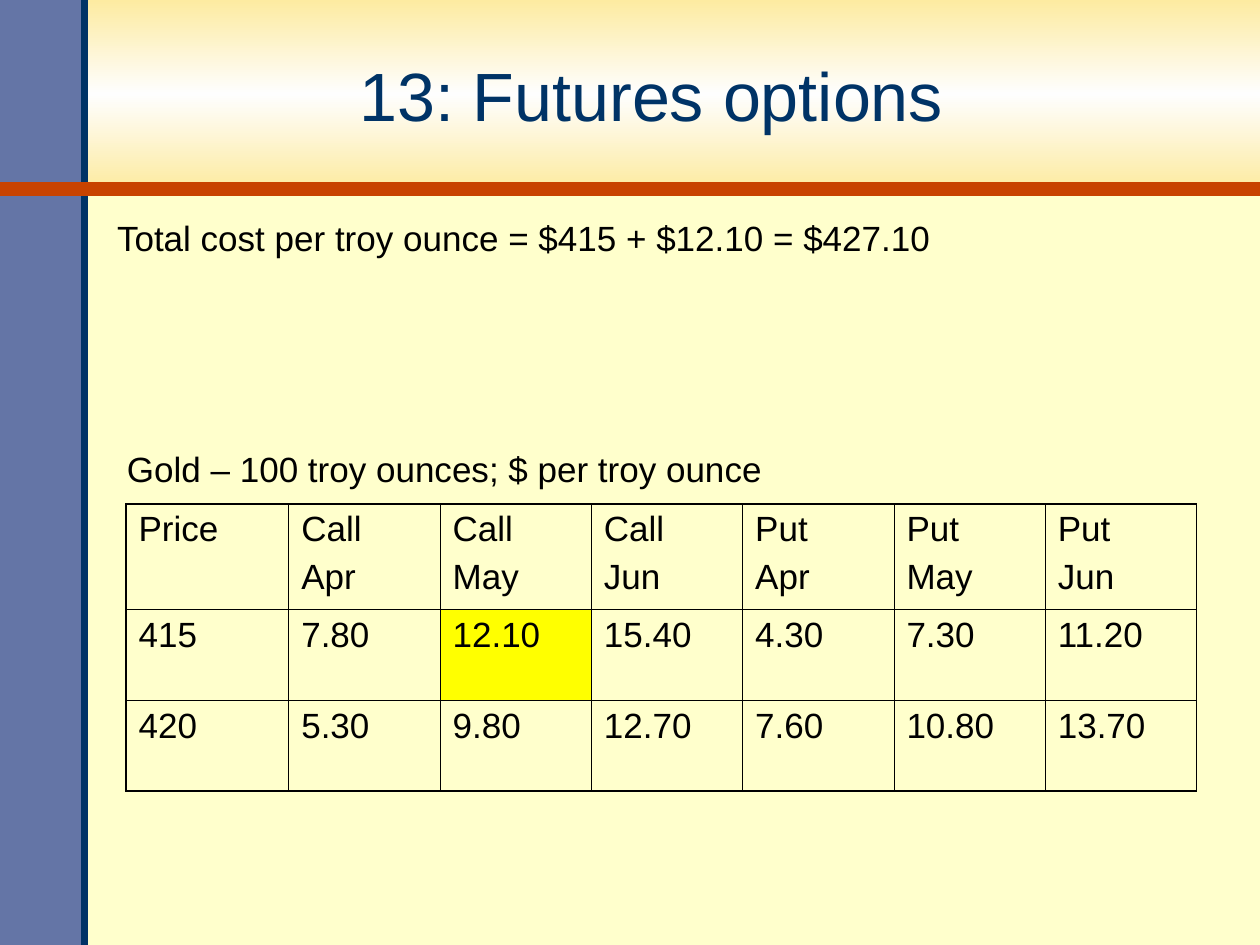
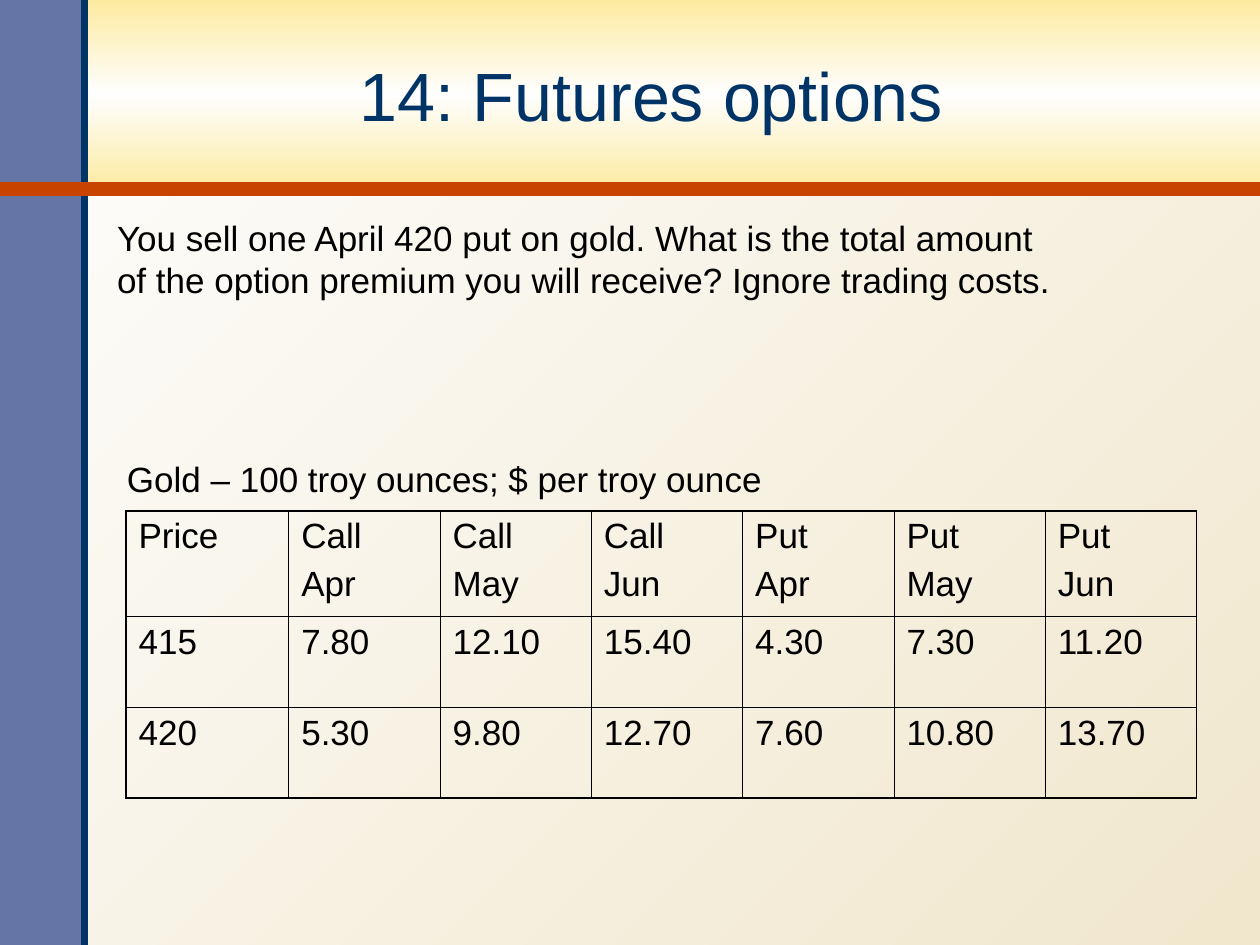
"""Build two slides on gold futures options, each with a price table."""
from dataclasses import dataclass

import pptx
import pptx.dml.color
import pptx.enum.shapes
import pptx.enum.text
import pptx.oxml.ns
import pptx.util
from lxml import etree

Cm, Pt = pptx.util.Cm, pptx.util.Pt
RGB = pptx.dml.color.RGBColor.from_string
qn = pptx.oxml.ns.qn
PP_ALIGN = pptx.enum.text.PP_ALIGN
MSO_ANCHOR = pptx.enum.text.MSO_ANCHOR


@dataclass(frozen=True)
class Theme:
    font: str = "Arial"
    title_size: float = 39
    body_size: float = 20
    ink: str = "000000"
    navy: str = "003366"
    slate: str = "6475A6"
    rust: str = "C84300"
    cream: str = "FFFFCC"
    sand: str = "F1E7CD"
    gold: str = "FDEBA1"
    white: str = "FEFEFE"
    mark: str = "FFFF00"
    thin: float = 0.45
    thick: float = 1.08


def write(tf, text, *, font, size, color, align=PP_ALIGN.LEFT, gap=0):
    for i, line in enumerate(text.split("\n")):
        p = tf.paragraphs[0] if i == 0 else tf.add_paragraph()
        p.alignment = align
        if i and gap:
            p.space_before = Pt(gap)
        r = p.add_run()
        r.text = line
        r.font.name = font
        r.font.size = Pt(size)
        r.font.color.rgb = RGB(color)


def fill_gradient(fill, root, colors, angle):
    fill.gradient()
    fill.gradient_angle = angle
    stops = root.find(".//" + qn("a:gsLst"))
    for stop in list(stops):
        stops.remove(stop)
    for i, color in enumerate(colors):
        stop = etree.SubElement(stops, qn("a:gs"), pos=str(100000 * i // (len(colors) - 1)))
        etree.SubElement(stop, qn("a:srgbClr"), val=color)


class Deck:
    """Hold the theme and the current slide, and draw each kind of element."""

    def __init__(self, theme):
        self.theme = theme
        self.prs = pptx.Presentation()
        self.prs.slide_width, self.prs.slide_height = Cm(25.4), Cm(19.05)
        self.s = None

    def slide(self, title, background):
        t = self.theme
        self.s = self.prs.slides.add_slide(self.prs.slide_layouts[6])
        fill = self.s.background.fill
        if len(background) == 1:
            fill.solid()
            fill.fore_color.rgb = RGB(background[0])
        else:
            fill_gradient(fill, self.s.element, background, 135)
        self.band(25.4, 3.81, [t.gold, t.white, t.gold])
        self.band(1.7, 19.05, [t.slate])
        self.line((1.7, 19.05), (1.7, 0), t.navy, 4)
        self.line((0, 3.81), (25.4, 3.81), t.rust, 8)
        self.text(title, 1.65, 0.38, 22.96, 3.05, size=t.title_size, color=t.navy,
                  align=PP_ALIGN.CENTER, anchor=MSO_ANCHOR.MIDDLE)

    def band(self, width, height, colors):
        sp = self.s.shapes.add_shape(pptx.enum.shapes.MSO_SHAPE.RECTANGLE,
                                     0, 0, Cm(width), Cm(height))
        sp.shadow.inherit = False
        sp.line.fill.background()
        if len(colors) == 1:
            sp.fill.solid()
            sp.fill.fore_color.rgb = RGB(colors[0])
        else:
            fill_gradient(sp.fill, sp.element, colors, 270)

    def line(self, start, end, color, width):
        sp = self.s.shapes.add_connector(pptx.enum.shapes.MSO_CONNECTOR.STRAIGHT,
                                         *map(Cm, start + end))
        sp.line.color.rgb = RGB(color)
        sp.line.width = Pt(width)
        etree.SubElement(sp.element.spPr, qn("a:effectLst"))

    def text(self, text, left, top, width, height, *, size=None, color=None,
             align=PP_ALIGN.LEFT, anchor=MSO_ANCHOR.TOP):
        t = self.theme
        tf = self.s.shapes.add_textbox(*map(Cm, (left, top, width, height))).text_frame
        tf.word_wrap = True
        tf.vertical_anchor = anchor
        write(tf, text, font=t.font, size=size or t.body_size, color=color or t.ink, align=align)

    def table(self, rows, left, top, widths, heights, marked=None):
        t = self.theme
        last_row, last_col = len(heights) - 1, len(widths) - 1
        table = self.s.shapes.add_table(len(heights), len(widths), Cm(left), Cm(top),
                                        Cm(sum(widths)), Cm(sum(heights))).table
        table.first_row = table.horz_banding = False
        for column, width in zip(table.columns, widths):
            column.width = Cm(width)
        for row, height in zip(table.rows, heights):
            row.height = Cm(height)
        for i, row in enumerate(rows):
            for j, text in enumerate(row):
                cell = table.cell(i, j)
                write(cell.text_frame, text, font=t.font, size=t.body_size,
                      color=t.ink, gap=5)
                if (i, j) == marked:
                    cell.fill.solid()
                    cell.fill.fore_color.rgb = RGB(t.mark)
                else:
                    cell.fill.background()
                self.borders(cell, L=j == 0, R=j == last_col, T=i == 0, B=i == last_row)

    def borders(self, cell, **outer):
        props = cell._tc.get_or_add_tcPr()
        for k, (side, is_outer) in enumerate(outer.items()):
            width = self.theme.thick if is_outer else self.theme.thin
            ln = etree.Element(qn("a:ln" + side), w=str(Pt(width)))
            fill = etree.SubElement(ln, qn("a:solidFill"))
            etree.SubElement(fill, qn("a:srgbClr"), val=self.theme.ink)
            props.insert(k, ln)


PRICES = [
    ["Price", "Call\nApr", "Call\nMay", "Call\nJun", "Put\nApr", "Put\nMay", "Put\nJun"],
    ["415", "7.80", "12.10", "15.40", "4.30", "7.30", "11.20"],
    ["420", "5.30", "9.80", "12.70", "7.60", "10.80", "13.70"],
]


def main():
    theme = Theme()
    deck = Deck(theme)
    slides = [
        dict(title="13: Futures options", background=[theme.cream],
             body="Total cost per troy ounce = $415 + $12.10 = $427.10",
             body_size=(17.32, 1.11), caption_top=8.89, table_top=10.16, marked=(1, 2)),
        dict(title="14: Futures options", background=[theme.sand, theme.white],
             body="You sell one April 420 put on gold. What is the total amount\n"
                  "of the option premium you will receive? Ignore trading costs.",
             body_size=(19.69, 1.96), caption_top=9.09, table_top=10.3, marked=None),
    ]
    for item in slides:
        deck.slide(item["title"], item["background"])
        deck.table(PRICES, 2.54, item["table_top"], [3.28] + [3.05] * 6,
                   [2.13, 1.83, 1.83], item["marked"])
        deck.text(item["body"], 2.11, 4.24, *item["body_size"])
        deck.text("Gold – 100 troy ounces; $ per troy ounce",
                  2.31, item["caption_top"], 13.7, 1.11)
    deck.prs.save("out.pptx")


if __name__ == "__main__":
    main()
